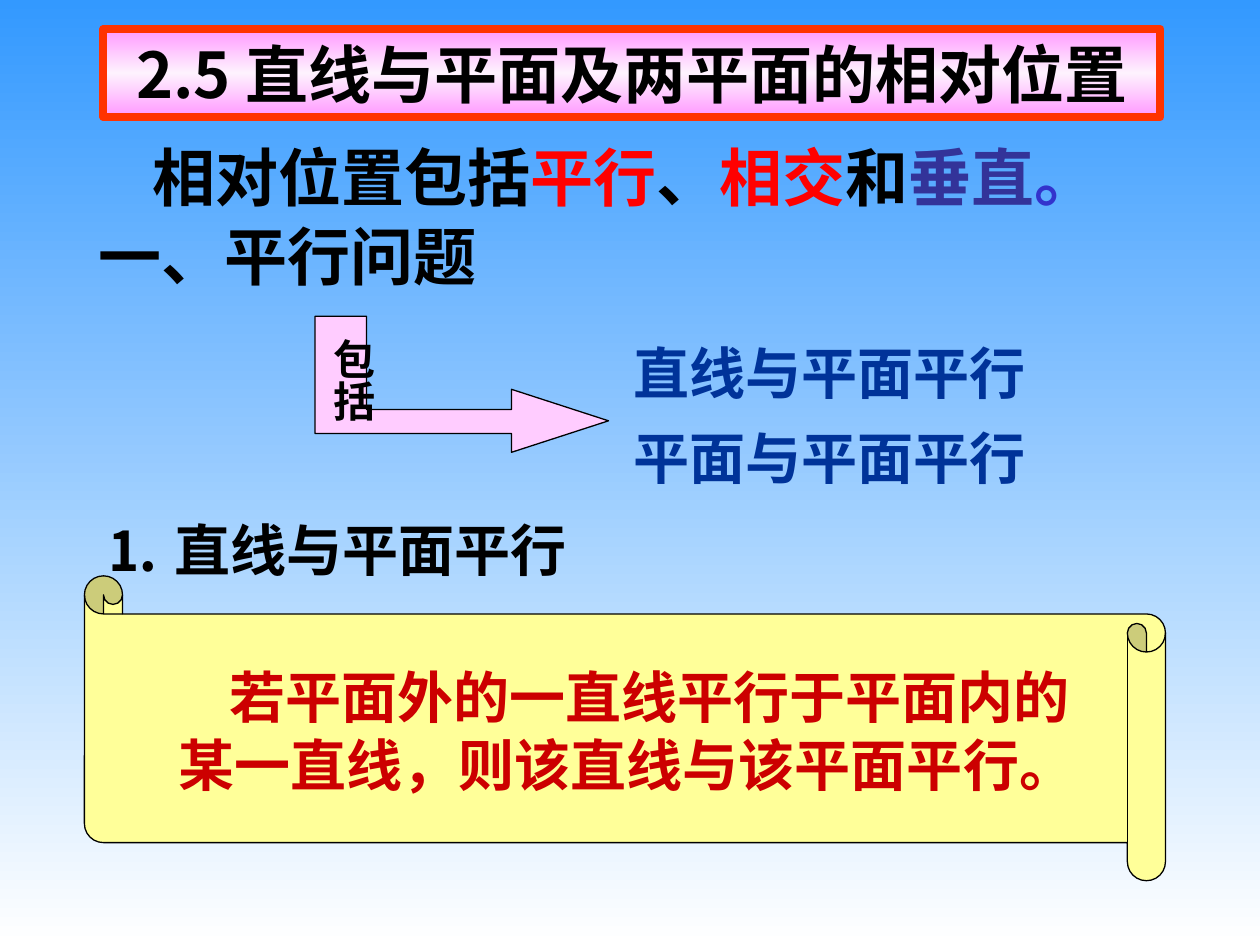
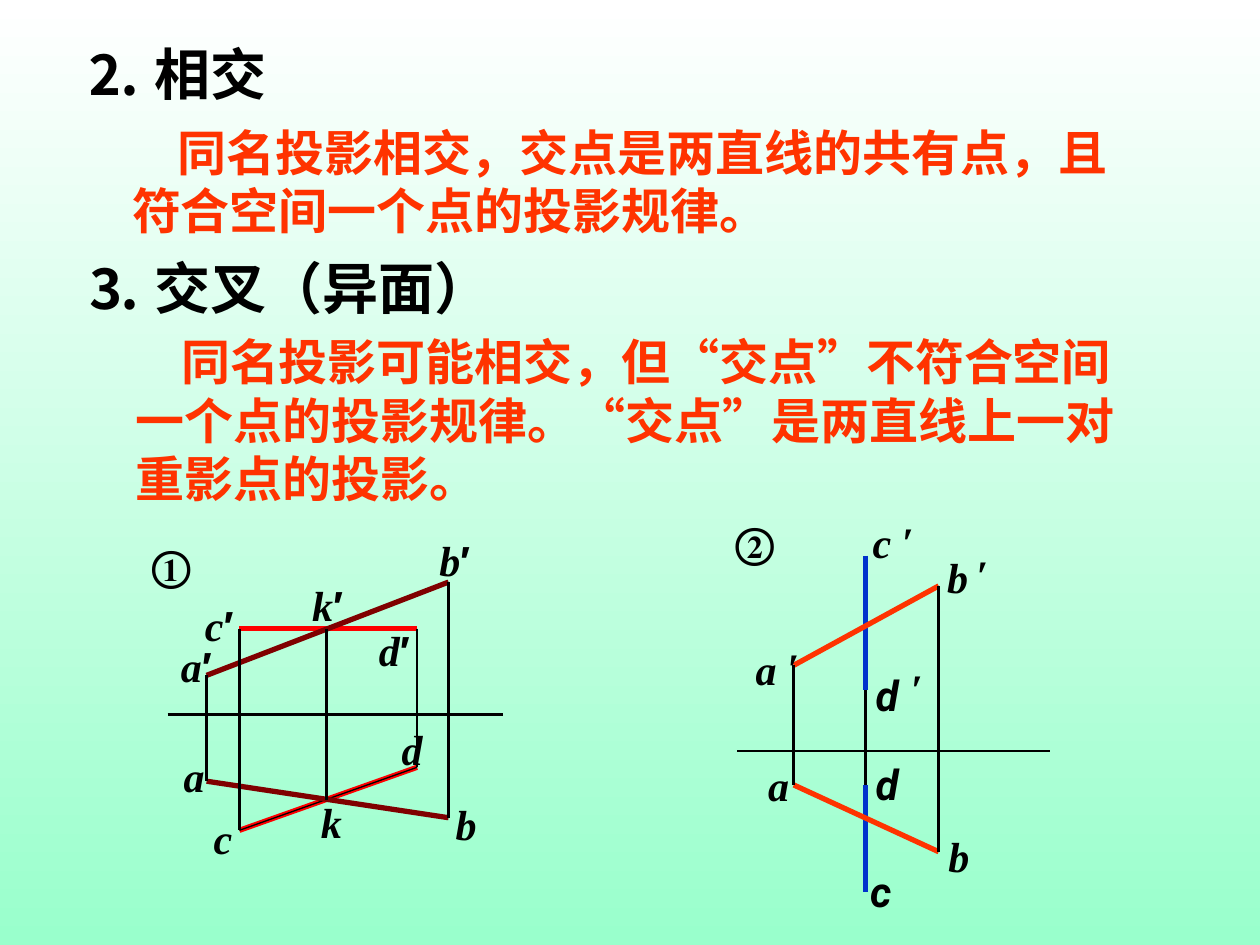
"""Build two slides on the relative position of lines and planes."""
from copy import deepcopy

from lxml.etree import SubElement
from pptx import Presentation
from pptx.dml.color import RGBColor
from pptx.enum.lang import MSO_LANGUAGE_ID
from pptx.enum.shapes import MSO_CONNECTOR, MSO_SHAPE
from pptx.enum.text import MSO_ANCHOR, MSO_AUTO_SIZE, PP_ALIGN
from pptx.oxml.ns import qn
from pptx.util import Inches, Pt

SERIF, SANS, CHINESE, ROBOTO = "Times New Roman", "Arial", "Noto Sans CJK SC", "Roboto"
BLACK, RED, ORANGE, MAROON = "000000", "FF0000", "FF3300", "800000"
NAVY, BLUE, CRIMSON = "003399", "0033CC", "CC0000"
TITLE_ONLY, TITLE_AND_BODY = 5, 1


def rgb(value):
    return RGBColor.from_string(value)


class Lesson:
    """Hold the shared style and the current slide."""

    def __init__(self):
        self.deck = Presentation()
        self.deck.slide_width, self.deck.slide_height = Inches(10), Inches(7.5)
        self.page = None

    def new_page(self, layout, colors):
        self.page = self.deck.slides.add_slide(self.deck.slide_layouts[layout])
        self.gradient(self.page.background.fill, self.page._element, colors)

    def gradient(self, fill, element, colors):
        fill.gradient()
        fill.gradient_angle = 270
        first = next(element.iter(qn("a:gs")))
        for _ in colors[2:]:
            first.addnext(deepcopy(first))
        for index, (stop, color) in enumerate(zip(fill.gradient_stops, colors)):
            stop.position = index / (len(colors) - 1)
            stop.color.rgb = rgb(color)

    def place(self, box, left, top, width, height):
        box.left, box.top = Inches(left), Inches(top)
        box.width, box.height = Inches(width), Inches(height)

    def frame(self, box, anchor=MSO_ANCHOR.MIDDLE, wrap=True):
        frame = box.text_frame
        frame.auto_size = MSO_AUTO_SIZE.NONE
        frame.word_wrap = wrap
        frame.vertical_anchor = anchor
        return frame

    def compose(self, para, spans, size, color=BLACK, font=SERIF, align=PP_ALIGN.LEFT, indent=0):
        properties = para._p.get_or_add_pPr()
        properties.set("marL", "0")
        properties.set("indent", str(Inches(indent)))
        SubElement(properties, qn("a:buNone"))
        para.alignment = align
        para.font.size, para.font.bold, para.font.name = Pt(size), True, font
        para.font.color.rgb = rgb(color)
        for text, span_color in spans:
            span = para.add_run()
            span.text = text
            span.font.language_id = MSO_LANGUAGE_ID.SIMPLIFIED_CHINESE
            SubElement(span._r.get_or_add_rPr(), qn("a:ea")).set("typeface", CHINESE)
            if span_color:
                span.font.color.rgb = rgb(span_color)

    def title(self, text, place, size, font=SERIF, align=PP_ALIGN.LEFT, anchor=MSO_ANCHOR.MIDDLE):
        box = self.page.shapes.title
        self.place(box, *place)
        para = self.frame(box, anchor).paragraphs[0]
        self.compose(para, [(text, None)], size, font=font, align=align)
        return box

    def body(self, lines, place, size, color, gap):
        box = self.page.placeholders[1]
        self.place(box, *place)
        frame = self.frame(box)
        for index, line in enumerate(lines):
            para = frame.add_paragraph() if index else frame.paragraphs[0]
            para.space_before = Pt(gap if index else 0)
            self.compose(para, [(line, None)], size, color)

    def text(self, spans, place, size, color=BLACK, anchor=MSO_ANCHOR.MIDDLE, wrap=False, **style):
        box = self.page.shapes.add_textbox(*map(Inches, place))
        spans = [(spans, None)] if isinstance(spans, str) else spans
        self.compose(self.frame(box, anchor, wrap).paragraphs[0], spans, size, color, **style)
        return box

    def paint(self, shape, fill):
        shape.shadow.inherit = False
        shape.fill.solid()
        shape.fill.fore_color.rgb = rgb(fill)
        shape.line.color.rgb = rgb(BLACK)
        shape.line.width = Pt(0.75)

    def outline(self, points, fill):
        start, *rest = [(Inches(x), Inches(y)) for x, y in points]
        builder = self.page.shapes.build_freeform(*start)
        builder.add_line_segments(rest, close=True)
        self.paint(builder.convert_to_shape(), fill)

    def scroll(self, place, fill):
        shape = self.page.shapes.add_shape(MSO_SHAPE.HORIZONTAL_SCROLL, *map(Inches, place))
        shape._element.spPr.find(qn("a:xfrm")).set("flipH", "1")
        self.paint(shape, fill)

    def line(self, start, end, color=BLACK, width=1.5):
        ends = map(Inches, (*start, *end))
        connector = self.page.shapes.add_connector(MSO_CONNECTOR.STRAIGHT, *ends)
        connector.line.color.rgb = rgb(color)
        connector.line.width = Pt(width)
        SubElement(connector._element.spPr, qn("a:effectLst"))

    def label(self, text, center, top, font=SERIF):
        place = map(Inches, (center - 0.25, top, 0.5, 0.5))
        para = self.frame(self.page.shapes.add_textbox(*place), wrap=False).paragraphs[0]
        para.alignment = PP_ALIGN.CENTER
        para.font.size, para.font.bold = Pt(24), True
        para.font.color.rgb = rgb(BLACK)
        for letter in text:
            span = para.add_run()
            span.text = letter
            span.font.italic = letter.isalpha()
            span.font.name = SANS if len(text) > 1 and letter == "′" else font


def parallel_page(lesson):
    lesson.new_page(TITLE_AND_BODY, ["3399FF", "FFFFFF"])
    banner = lesson.title("2.5 直线与平面及两平面的相对位置", (0.82, 0.23, 8.39, 0.7), 36,
                          CHINESE, PP_ALIGN.CENTER)
    lesson.gradient(banner.fill, banner._element, ["FF99FF", "FEF2FE", "FF99FF"])
    banner.line.color.rgb = rgb(ORANGE)
    banner.line.width = Pt(4.5)
    kinds = [("相对位置包括", None), ("平行", RED), ("、", None), ("相交", RED),
             ("和", None), ("垂直", "333399"), ("。", "3333CC")]
    lesson.text(kinds, (1.11, 1.05, 7.7, 0.7), 36)
    lesson.text("一、平行问题", (0.68, 1.68, 3.35, 0.7), 36, font=CHINESE)
    lesson.body(["直线与平面平行", "平面与平面平行"], (4.93, 2.63, 3.4, 1.32), 32, NAVY, 10)
    lesson.outline([(2.91, 2.51), (2.91, 3.25), (4.06, 3.25), (4.06, 3.09), (4.83, 3.34),
                    (4.06, 3.59), (4.06, 3.44), (2.5, 3.44), (2.5, 2.51)], "FFCCFF")
    include = lesson.text("包括", (2.5, 2.59, 0.6, 0.77), 24, align=PP_ALIGN.CENTER)
    include.text_frame._txBody.bodyPr.set("vert", "eaVert")
    lesson.text("⒈ 直线与平面平行", (0.74, 4.04, 3.86, 0.64), 32)
    lesson.scroll((0.67, 4.57, 8.58, 2.42), "FFFF99")
    lesson.text("若平面外的一直线平行于平面内的某一直线，则该直线与该平面平行。",
                (1.32, 5.21, 7.52, 1.17), 32, CRIMSON, wrap=True, indent=0.4)


def crossing_figure(lesson):
    a_front, b_front, a_top, b_top = (1.64, 5.36), (3.56, 4.62), (1.64, 6.2), (3.56, 6.49)
    c_front, d_front, c_top, d_top = (1.9, 4.99), (3.31, 4.99), (1.9, 6.59), (3.31, 6.09)
    for start, end in [(c_top, d_top), (c_front, d_front)]:
        lesson.line(start, end, RED, 3)
    lesson.line(c_top, d_top, width=0.75)
    lesson.line((1.33, 5.67), (3.99, 5.67))
    for start, end in [(a_front, b_front), (a_top, b_top)]:
        lesson.line(start, end, MAROON, 3)
    for start, end in [(a_front, a_top), (b_front, b_top), (c_front, c_top),
                       (d_front, d_top), ((2.59, 4.99), (2.59, 6.35))]:
        lesson.line(start, end)
    for text, center, top in [("①", 1.36, 4.23), ("a′", 1.56, 5.03), ("b′", 3.61, 4.19),
                              ("c′", 1.74, 4.71), ("d′", 3.13, 4.91), ("k′", 2.6, 4.55),
                              ("a", 1.54, 5.91), ("b", 3.7, 6.29), ("c", 1.77, 6.4),
                              ("d", 3.27, 5.69), ("k", 2.63, 6.27)]:
        lesson.label(text, center, top)


def skew_figure(lesson):
    a_front, b_front, a_top, b_top = (6.3, 5.28), (7.45, 4.65), (6.3, 6.23), (7.45, 6.76)
    c_front, d_front, d_top, c_top = [(6.87, y) for y in (4.41, 5.48, 6.23, 7.08)]
    lesson.line((5.85, 5.96), (8.33, 5.96))
    for start, end in [(c_front, d_front), (d_top, c_top)]:
        lesson.line(start, end, BLUE, 3)
    lesson.line(d_front, d_top)
    for start, end in [(a_front, b_front), (a_top, b_top)]:
        lesson.line(start, end, ORANGE, 3)
    for start, end in [(a_front, a_top), (b_front, b_top)]:
        lesson.line(start, end)
    for text, center, top in [("②", 5.99, 4.05), ("c", 7, 4.05), ("a", 6.08, 5.06),
                              ("b", 7.6, 4.33), ("a", 6.18, 5.98), ("b", 7.61, 6.54)]:
        lesson.label(text, center, top)
    for center, top in [(7.21, 4.04), (6.3, 5.04), (7.8, 4.3), (7.28, 5.21)]:
        lesson.label("′", center, top)
    for text, center, top in [("d", 7.04, 5.26), ("d", 7.04, 5.97), ("c", 6.99, 6.82)]:
        lesson.label(text, center, top, ROBOTO)


def crossing_page(lesson):
    lesson.new_page(TITLE_ONLY, ["FFFFFF", "99FFCC"])
    lesson.title("⒉ 相交", (0.58, 0.26, 1.7, 0.64), 32, anchor=MSO_ANCHOR.TOP)
    lesson.text("⒊ 交叉（异面）", (0.58, 1.96, 3.41, 0.64), 32, anchor=MSO_ANCHOR.TOP)
    for text, place in [
        ("同名投影相交，交点是两直线的共有点，且符合空间一个点的投影规律。",
         (0.95, 0.92, 8.26, 1.04)),
        ("同名投影可能相交，但“交点”不符合空间一个点的投影规律。“交点”是两直线上一对重影点的投影。",
         (0.98, 2.58, 8.16, 1.5)),
    ]:
        lesson.text(text, place, 28, ORANGE, MSO_ANCHOR.TOP, True, indent=0.36)
    crossing_figure(lesson)
    skew_figure(lesson)


def main():
    lesson = Lesson()
    parallel_page(lesson)
    crossing_page(lesson)
    lesson.deck.save("out.pptx")


if __name__ == "__main__":
    main()
